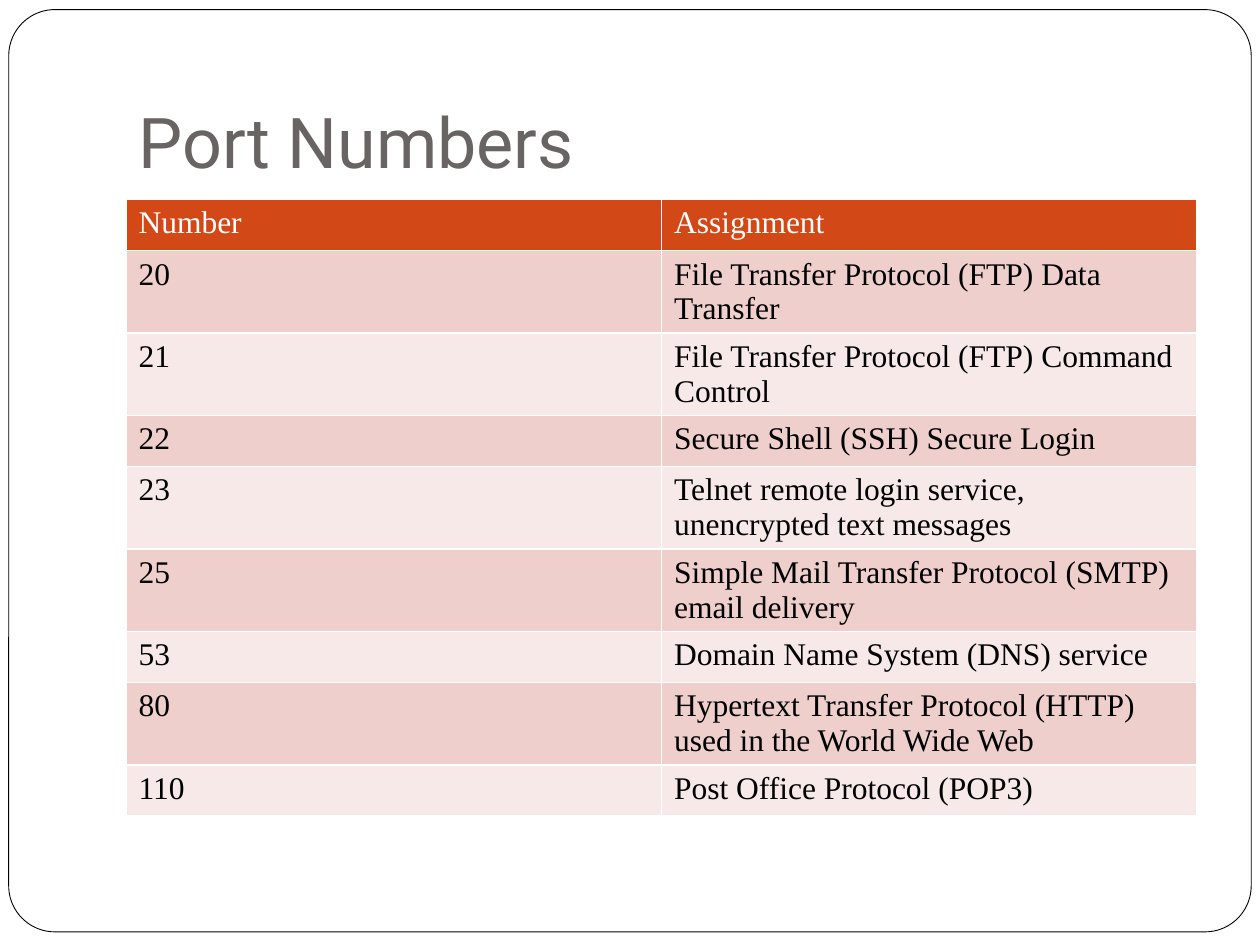
from lxml.etree import SubElement
from pptx import Presentation
from pptx.dml.color import RGBColor
from pptx.enum.shapes import MSO_SHAPE
from pptx.enum.text import MSO_ANCHOR, PP_ALIGN
from pptx.oxml.ns import qn
from pptx.util import Pt

TITLE = "Port Numbers"
HEADER = ("Number", "Assignment")
PORTS = [
    ("20", "File Transfer Protocol (FTP) Data Transfer"),
    ("21", "File Transfer Protocol (FTP) Command Control"),
    ("22", "Secure Shell (SSH) Secure Login"),
    ("23", "Telnet remote login service, unencrypted text messages"),
    ("25", "Simple Mail Transfer Protocol (SMTP) email delivery"),
    ("53", "Domain Name System (DNS) service"),
    ("80", "Hypertext Transfer Protocol (HTTP) used in the World Wide Web"),
    ("110", "Post Office Protocol (POP3)"),
]

WHITE = RGBColor(0xFF, 0xFF, 0xFF)
BLACK = RGBColor(0x00, 0x00, 0x00)
GREY = RGBColor(0x69, 0x64, 0x64)
ORANGE = RGBColor(0xD3, 0x48, 0x17)
BANDS = (RGBColor(0xEF, 0xCF, 0xCC), RGBColor(0xF7, 0xE9, 0xE8))

LEFT, WIDTH = 72, 612
TABLE_TOP = 114
LINE_ROW, WRAPPED_ROW = 29.2, 47
WRAP_AT = 40  # characters that fit on one line of the second column


def set_borders(cell, color, width):
    """Draw all four cell borders; call before the fill is set."""
    tc_pr = cell._tc.get_or_add_tcPr()
    for side in ("lnL", "lnR", "lnT", "lnB"):
        ln = SubElement(tc_pr, qn(f"a:{side}"), w=str(Pt(width)))
        fill = SubElement(ln, qn("a:solidFill"))
        SubElement(fill, qn("a:srgbClr"), val=str(color))


def set_font(p, name, size, color):
    p.font.name, p.font.size = name, Pt(size)
    p.font.color.rgb = color


def add_title(s):
    title = s.shapes.title
    title.left, title.top, title.width, title.height = (
        Pt(LEFT), Pt(21.6), Pt(WIDTH), Pt(90))
    tf = title.text_frame
    tf.text = TITLE
    tf.vertical_anchor = MSO_ANCHOR.BOTTOM
    tf.margin_left = tf.margin_right = tf.margin_bottom = Pt(7.2)
    tf.margin_top = Pt(3.6)
    p = tf.paragraphs[0]
    p.alignment = PP_ALIGN.LEFT
    set_font(p, "Roboto", 40, GREY)


def add_frame(s):
    """Outline the slide, behind the title."""
    frame = s.shapes.add_shape(MSO_SHAPE.ROUNDED_RECTANGLE,
                               Pt(5), Pt(5.5), Pt(710), Pt(527))
    frame.adjustments[0] = 0.05
    frame.shadow.inherit = False
    frame.fill.solid()
    frame.fill.fore_color.rgb = WHITE
    frame.line.color.rgb = BLACK
    frame.line.width = Pt(0.5)
    s.shapes.title._element.addprevious(frame._element)


def add_port_table(s):
    rows = [HEADER, *PORTS]
    heights = [WRAPPED_ROW if len(text) > WRAP_AT else LINE_ROW
               for _, text in rows]
    table = s.shapes.add_table(len(rows), len(HEADER), Pt(LEFT), Pt(TABLE_TOP),
                               Pt(WIDTH), Pt(sum(heights))).table
    for i, (row, height) in enumerate(zip(rows, heights)):
        table.rows[i].height = Pt(height)
        for j, text in enumerate(row):
            cell = table.cell(i, j)
            set_borders(cell, WHITE, 1)
            cell.fill.solid()
            cell.fill.fore_color.rgb = BANDS[(i - 1) % 2] if i else ORANGE
            cell.text = text
            p = cell.text_frame.paragraphs[0]
            set_font(p, "Times New Roman", 18, BLACK if i else WHITE)
            p.font.bold = False


def main():
    prs = Presentation()
    prs.slide_width, prs.slide_height = Pt(720), Pt(540)
    s = prs.slides.add_slide(prs.slide_layouts[5])
    add_title(s)
    add_frame(s)
    add_port_table(s)
    prs.save("out.pptx")


if __name__ == "__main__":
    main()
